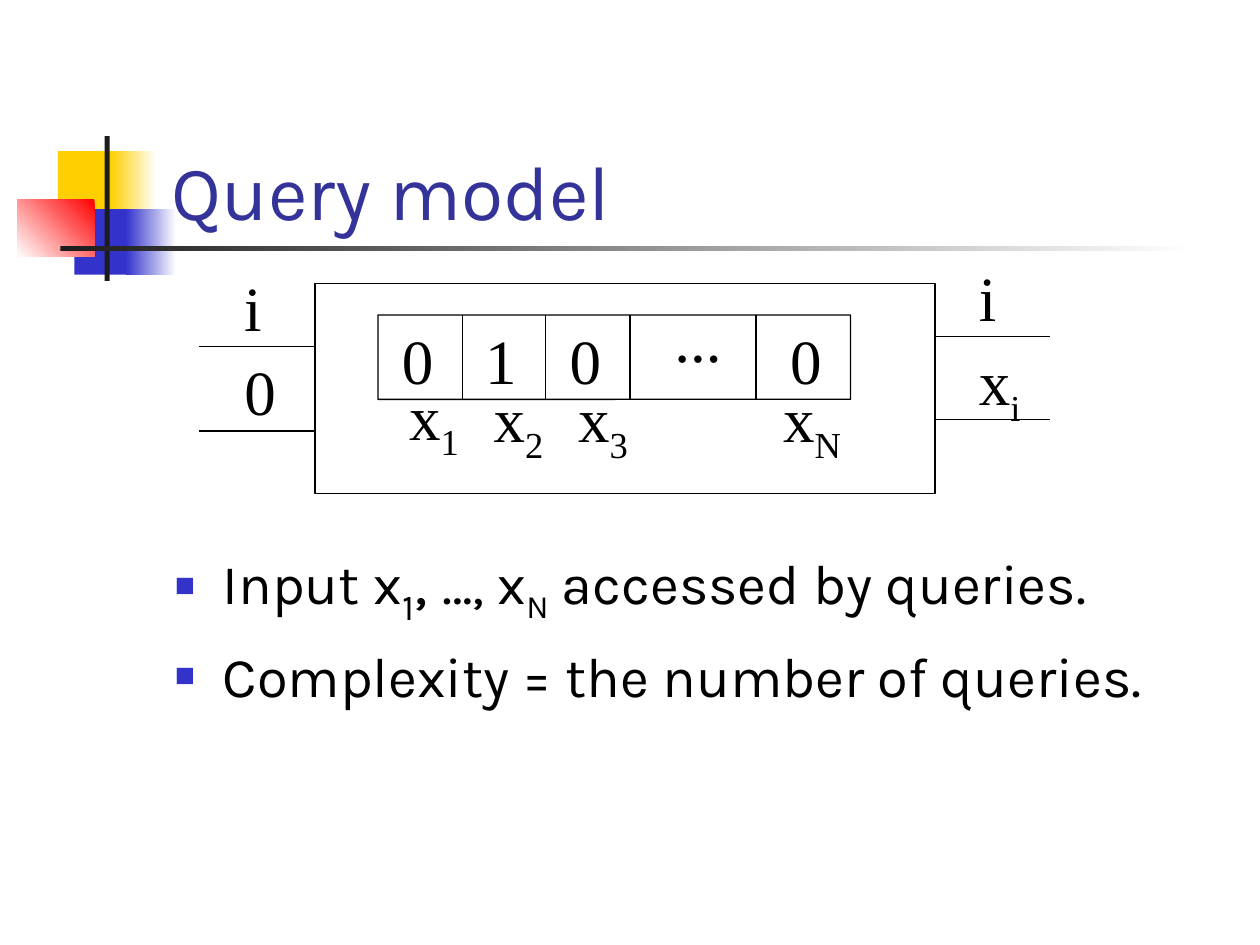
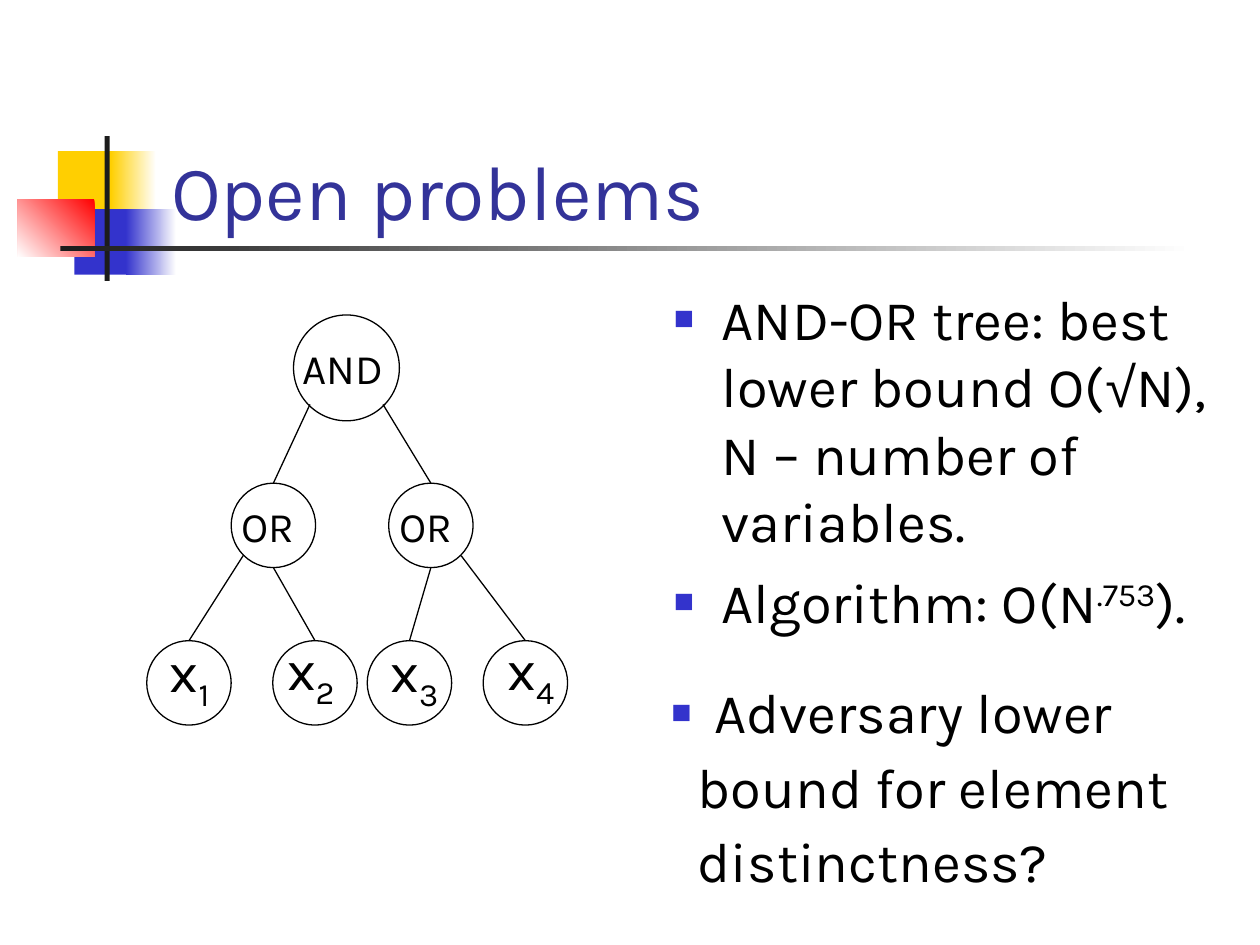
from pptx import Presentation
from pptx.dml.color import RGBColor
from pptx.enum.shapes import MSO_CONNECTOR, MSO_SHAPE
from pptx.enum.text import MSO_ANCHOR, MSO_AUTO_SIZE, PP_ALIGN
from pptx.oxml.ns import qn
from pptx.util import Inches, Pt
from lxml import etree

BLACK, DARK, WHITE = "000000", "1C1C1C", "FFFFFF"
YELLOW, BLUE, RED, TITLE = "FFCF01", "3333CC", "FF0000", "333399"
SANS, SERIF, SYMBOL = "Karla", "Times New Roman", "Arial"


def rgb(value):
    return RGBColor.from_string(value)


def add_run(p, text, size=32, font=SANS, color=BLACK, base=0):
    r = p.add_run()
    r.text = text
    r.font.size, r.font.name = Pt(size), font
    r.font.color.rgb = rgb(color)
    if base:
        r._r.get_or_add_rPr().set("baseline", str(base * 1000))


def add_bullet(pPr):
    clr = etree.SubElement(pPr, qn("a:buClr"))
    etree.SubElement(clr, qn("a:srgbClr"), val=BLUE)
    etree.SubElement(pPr, qn("a:buSzPct"), val="60000")
    etree.SubElement(pPr, qn("a:buFont"), typeface=SYMBOL)
    etree.SubElement(pPr, qn("a:buChar"), char="■")


def sub(text, **fmt):
    return text, dict(base=-25, **fmt)


class Deck:
    def __init__(self):
        self.prs = Presentation()
        self.prs.slide_width, self.prs.slide_height = Inches(10), Inches(7.5)
        self.s = None

    def slide(self, title):
        self.s = self.prs.slides.add_slide(self.prs.slide_layouts[5])
        self.decoration()
        sp = self.s.shapes.title
        self.s.shapes._spTree.append(sp._element)  # title in front of the squares
        sp.left, sp.top, sp.width, sp.height = map(Inches, (1.26, 0.67, 8.52, 1.25))
        tf = sp.text_frame
        tf.auto_size, tf.vertical_anchor = MSO_AUTO_SIZE.NONE, MSO_ANCHOR.BOTTOM
        tf.paragraphs[0].alignment = PP_ALIGN.LEFT
        add_run(tf.paragraphs[0], title, size=44, color=TITLE)

    def decoration(self):
        self.shape(0.46, 1.2, 0.48, 0.52, fill=YELLOW, line=None)
        self.shape(0.88, 1.2, 0.36, 0.52, fill=(YELLOW, WHITE), line=None)
        self.shape(0.59, 1.66, 0.46, 0.52, fill=BLUE, line=None)
        self.shape(1, 1.66, 0.4, 0.52, fill=(BLUE, WHITE), line=None)
        self.shape(0.14, 1.58, 0.61, 0.46, fill=(RED, WHITE), angle=225, line=None)
        self.shape(0.83, 1.08, 0.04, 1.15, fill=DARK, line=None)
        self.shape(0.48, 1.95, 9, 0.04, fill=(DARK, WHITE), line=None)

    def shape(self, x, y, w, h, kind=MSO_SHAPE.RECTANGLE, fill=None, angle=0, line=BLACK):
        sp = self.s.shapes.add_shape(kind, *map(Inches, (x, y, w, h)))
        sp.shadow.inherit = False
        if fill is None:
            sp.fill.background()
        elif isinstance(fill, tuple):
            sp.fill.gradient()
            sp.fill.gradient_angle = angle
            for stop, color in zip(sp.fill.gradient_stops, fill):
                stop.color.rgb = rgb(color)
        else:
            sp.fill.solid()
            sp.fill.fore_color.rgb = rgb(fill)
        if line:
            sp.line.color.rgb, sp.line.width = rgb(line), Pt(0.75)
        else:
            sp.line.fill.background()
        return sp

    def line(self, x1, y1, x2, y2):
        c = self.s.shapes.add_connector(MSO_CONNECTOR.STRAIGHT, *map(Inches, (x1, y1, x2, y2)))
        c.line.color.rgb, c.line.width = rgb(BLACK), Pt(0.75)
        etree.SubElement(c._element.spPr, qn("a:effectLst"))

    def box(self, x, y, w, h, wrap):
        tf = self.s.shapes.add_textbox(*map(Inches, (x, y, w, h))).text_frame
        tf.word_wrap = wrap
        return tf

    def label(self, x, y, w, h, *runs, center=False, **fmt):
        tf = self.box(x, y, w, h, wrap=False)
        p = tf.paragraphs[0]
        if center:
            tf.vertical_anchor, p.alignment = MSO_ANCHOR.MIDDLE, PP_ALIGN.CENTER
        for run in runs:
            text, extra = run if isinstance(run, tuple) else (run, {})
            add_run(p, text, **{**fmt, **extra})

    def body(self, x, y, w, h, paragraphs, margin=0.38, spacing=None):
        """Bulleted text; a paragraph given as (indent, runs) has no bullet."""
        tf = self.box(x, y, w, h, wrap=True)
        for i, item in enumerate(paragraphs):
            p = tf.add_paragraph() if i else tf.paragraphs[0]
            p.space_before = Pt(8)
            if spacing:
                p.line_spacing = spacing
            plain = isinstance(item, tuple)
            left, runs = item if plain else (margin, item)
            pPr = p._p.get_or_add_pPr()
            pPr.set("marL", str(Inches(left)))
            pPr.set("indent", str(0 if plain else -Inches(left)))
            if not plain:
                add_bullet(pPr)
            for run in runs:
                text, fmt = run if isinstance(run, tuple) else (run, {})
                add_run(p, text, **fmt)


def query_model(d):
    d.slide("Query model")
    d.body(1.29, 4.25, 8.5, 2.46, [
        ["Input x", sub("1", size=36), (", ", dict(size=36)), "…, x", sub("N"),
         " accessed by queries."],
        ["Complexity = the number of queries."]])

    # Input register
    serif = dict(size=36, font=SERIF)
    register = d.shape(3, 2.5, 3.75, 0.67, kind=MSO_SHAPE.ROUNDED_RECTANGLE, fill=WHITE)
    register.adjustments[0] = 0.003
    for x in (3.67, 4.33, 5, 6):
        d.line(x, 2.5, x, 3.17)
    for left, bit_x, bit, index, y in ((3, 3.09, "0", "1", 2.94), (3.67, 3.75, "1", "2", 2.96),
                                       (4.34, 4.42, "0", "3", 2.96), (6, 6.17, "0", "N", 2.96)):
        d.label(bit_x, 2.5, 0.45, 0.7, bit, center=True, **serif)
        d.label(left + 0.08, y, 0.73, 0.79, "x", sub(index), center=True, **serif)
    d.label(5.04, 2.33, 1, 0.7, "...", center=True, **serif)

    # Black box with its wires
    d.shape(2.5, 2.25, 4.92, 1.67)
    for x1, x2, ys in ((1.58, 2.5, (2.75, 3.42)), (7.42, 8.33, (2.67, 3.33))):
        for y in ys:
            d.line(x1, y, x2, y)
    d.label(1.84, 2.08, 0.34, 0.7, "i", **serif)
    d.label(1.84, 2.75, 0.45, 0.7, "0", **serif)
    d.label(7.67, 2, 0.34, 0.7, "i", **serif)
    d.label(7.67, 2.67, 0.53, 0.79, "x", sub("i"), **serif)


def open_problems(d):
    d.slide("Open problems")
    d.body(5.25, 2.21, 4.54, 2.96, [
        ["AND-OR tree: best lower bound O(", ("√", dict(font=SYMBOL)),
         "N), N – number of variables."],
        ["Algorithm: O(N", (".753", dict(base=30)), ")."]])

    # Tree nodes, by centre
    root_x, root_y, root_r = 2.75, 2.92, 0.42
    gate_xs, gate_y, r = (2.17, 3.42), 4.17, 0.335
    leaf_xs, leaf_y = (1.5, 2.5, 3.25, 4.17), 5.42

    def node(x, y, radius):
        d.shape(x - radius, y - radius, 2 * radius, 2 * radius, kind=MSO_SHAPE.OVAL)

    node(root_x, root_y, root_r)
    d.label(2.3, 2.67, 0.91, 0.5, "AND", size=24)
    for x in gate_xs:
        node(x, gate_y, r)
        d.label(x - 0.35, 3.92, 0.67, 0.5, "OR", size=24)
    for i, (x, text_x) in enumerate(zip(leaf_xs, (1.25, 2.18, 3, 3.93))):
        node(x, leaf_y, r)
        d.label(text_x, 5 - 0.01 * (i % 2), 0.58, 0.71, "x", sub(str(i + 1)))

    # Edges: outer leaves hang from the side of a gate, inner ones from its bottom
    for side, gate_x, (outer, inner) in ((-1, gate_xs[0], leaf_xs[:2]),
                                         (1, gate_xs[1], leaf_xs[:1:-1])):
        d.line(root_x + 0.29 * side, root_y + 0.29, gate_x, gate_y - r)
        d.line(gate_x + 0.24 * side, gate_y + 0.24, outer, leaf_y - r)
        d.line(gate_x, gate_y + r, inner, leaf_y - r)

    d.body(5.23, 5.39, 4.52, 2.0, [
        ["Adversary lower"], (0.21, ["bound for element"]), (0.21, ["distinctness?"])],
        margin=0.34, spacing=0.9)


def main():
    d = Deck()
    query_model(d)
    open_problems(d)
    d.prs.save("out.pptx")


if __name__ == "__main__":
    main()
